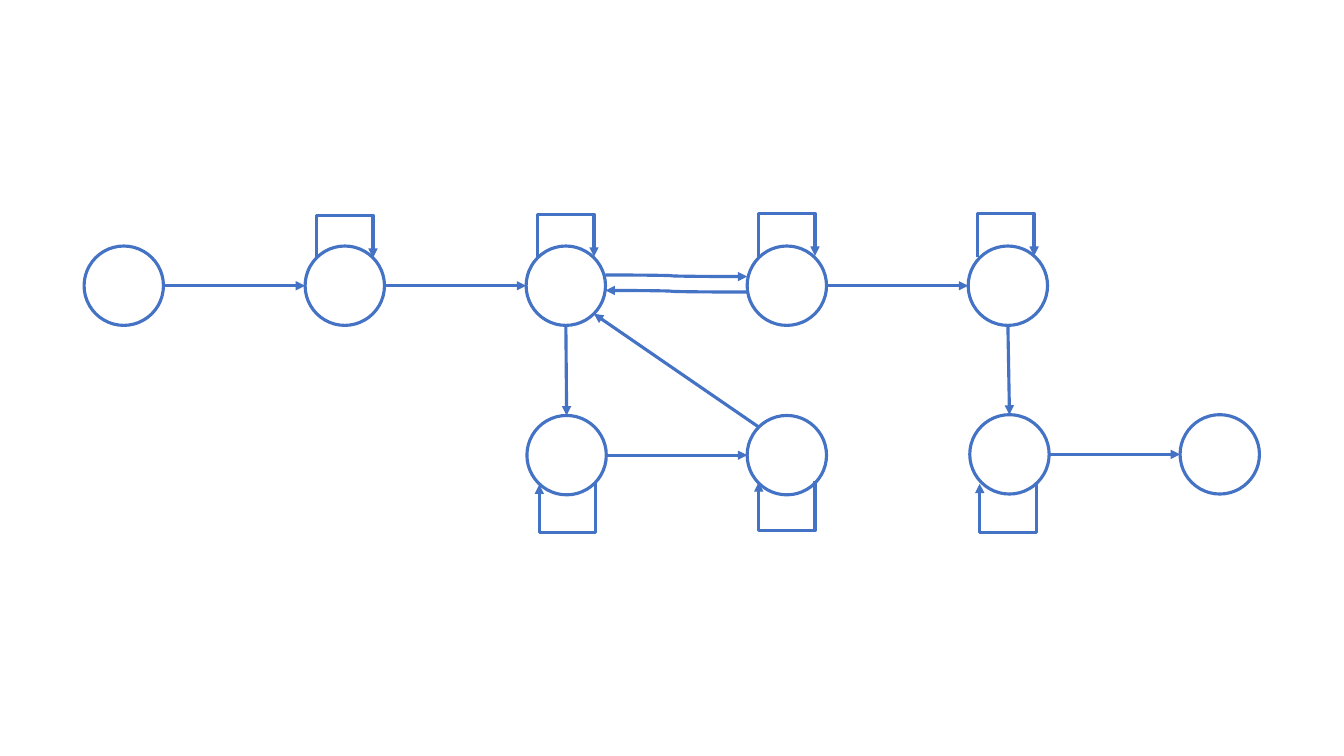
from collections import namedtuple
from math import cos, radians, sin

from lxml.etree import SubElement
from pptx import Presentation
from pptx.dml.color import RGBColor
from pptx.enum.shapes import MSO_CONNECTOR as CXN, MSO_SHAPE as SHAPE
from pptx.oxml.ns import qn
from pptx.util import Cm, Pt

Theme = namedtuple("Theme", "line fill width")
theme = Theme(RGBColor(0x44, 0x72, 0xC4), RGBColor(0xFF, 0xFF, 0xFF), Pt(2.25))

RADIUS = 1
TOP, TOP_LEFT, LEFT, BOTTOM, BOTTOM_RIGHT, RIGHT = 0, 1, 2, 4, 5, 6

prs = Presentation()
prs.slide_width, prs.slide_height = Cm(33.87), Cm(19.05)
slide = prs.slides.add_slide(prs.slide_layouts[6])


def add_arrow(kind, x1, y1, x2, y2, arrow_end="tailEnd"):
    cxn = slide.shapes.add_connector(kind, Cm(x1), Cm(y1), Cm(x2), Cm(y2))
    cxn.line.color.rgb = theme.line
    cxn.line.width = theme.width
    SubElement(cxn.line._get_or_add_ln(), qn("a:" + arrow_end), type="triangle")
    SubElement(cxn._element.spPr, qn("a:effectLst"))
    return cxn


def set_bend(cxn, share):
    guides = cxn._element.spPr.prstGeom.get_or_add_avLst()
    SubElement(guides, qn("a:gd"), name="adj1", fmla=f"val {round(share * 100000)}")


centres = {f"upper{i}": (3.12 + 5.57 * i, 7.2) for i in range(5)}
centres |= {
    "lower2": (14.28, 11.47),
    "lower3": (19.83, 11.47),
    "lower4": (25.44, 11.45),
    "lower5": (30.74, 11.45),
}

states = {}
for name, (x, y) in centres.items():
    sp = slide.shapes.add_shape(
        SHAPE.FLOWCHART_CONNECTOR,
        Cm(x - RADIUS), Cm(y - RADIUS), Cm(2 * RADIUS), Cm(2 * RADIUS),
    )
    sp.shadow.inherit = False
    sp.fill.solid()
    sp.fill.fore_color.rgb = theme.fill
    sp.line.color.rgb = theme.line
    sp.line.width = theme.width
    states[name] = sp

transitions = [
    ("upper0", RIGHT, "upper1", LEFT),
    ("upper1", RIGHT, "upper2", LEFT),
    ("upper3", RIGHT, "upper4", LEFT),
    ("upper2", BOTTOM, "lower2", TOP),
    ("lower2", RIGHT, "lower3", LEFT),
    ("lower3", TOP_LEFT, "upper2", BOTTOM_RIGHT),
    ("upper4", BOTTOM, "lower4", TOP),
    ("lower4", RIGHT, "lower5", LEFT),
]
for source, source_site, target, target_site in transitions:
    ends = []
    for name, site in ((source, source_site), (target, target_site)):
        x, y = centres[name]
        angle = radians(45 * site)
        ends += [x - RADIUS * sin(angle), y - RADIUS * cos(angle)]
    cxn = add_arrow(CXN.STRAIGHT, *ends)
    links = cxn._element.nvCxnSpPr.cNvCxnSpPr
    for tag, name, site in (("a:stCxn", source, source_site), ("a:endCxn", target, target_site)):
        SubElement(links, qn(tag), id=str(states[name].shape_id), idx=str(site))

for y, arrow_end in ((6.93, "tailEnd"), (7.32, "headEnd")):
    cxn = add_arrow(CXN.CURVE, 15.26, y, 18.83, y + 0.04, arrow_end)
    set_bend(cxn, 0.467)

LOOP_WIDTH, LOOP_STEP = 1.42, 0.04
loops = [
    ("upper1", 0, 0.03),
    ("upper2", 0, 0),
    ("upper3", 0, -0.02),
    ("upper4", -0.05, -0.02),
    ("lower2", 0.02, 0),
    ("lower3", 0, -0.06),
    ("lower4", -0.04, 0),
]
for name, dx, dy in loops:
    x, y = centres[name]
    above = name.startswith("upper")
    middle, depth = (-0.71, 1.11) if above else (0.72, 1.26)
    x += dx
    y += dy + middle
    cxn = add_arrow(
        CXN.ELBOW,
        x - LOOP_STEP / 2, y - LOOP_WIDTH / 2,
        x + LOOP_STEP / 2, y + LOOP_WIDTH / 2,
    )
    xfrm = cxn._element.spPr.xfrm
    xfrm.set("rot", "5400000")
    if above:
        xfrm.set("flipH", "1")
        xfrm.set("flipV", "1")
    set_bend(cxn, depth / LOOP_STEP)

prs.save("out.pptx")
